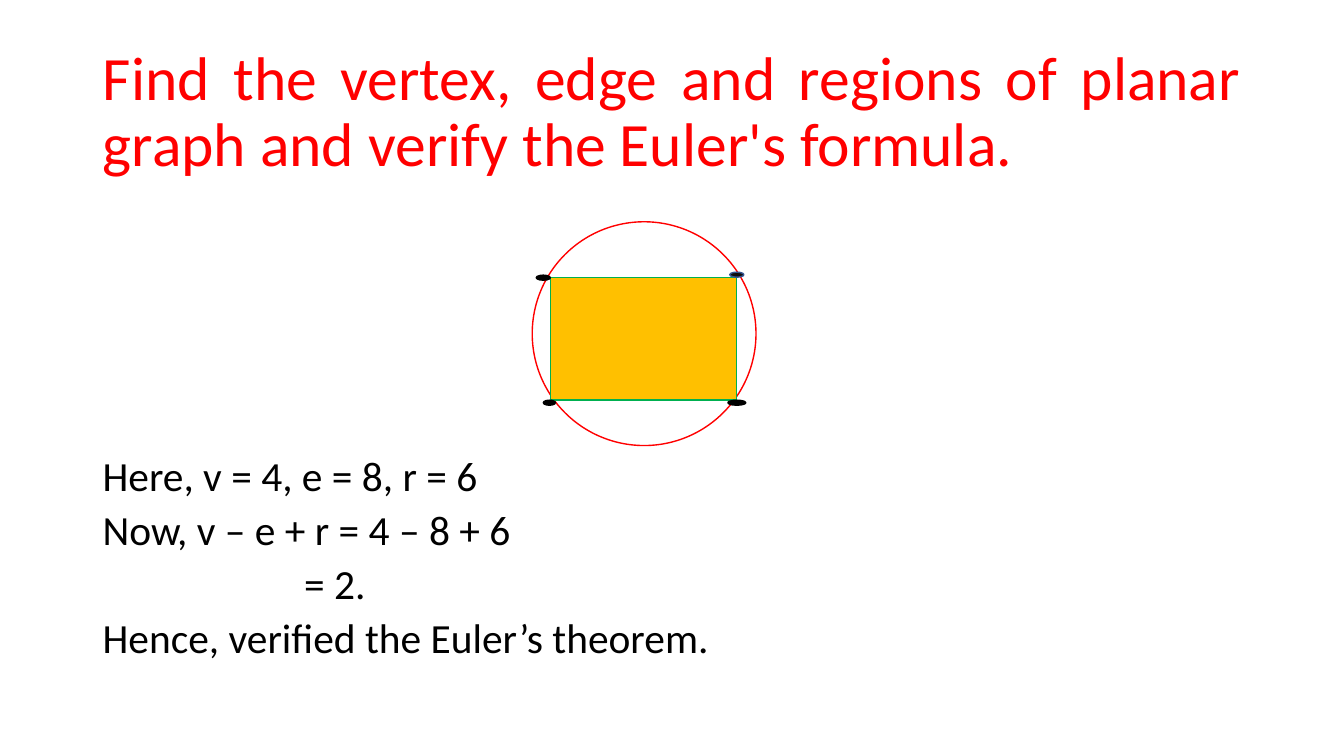
from pptx import Presentation
from pptx.dml.color import RGBColor
from pptx.enum.shapes import MSO_SHAPE
from pptx.enum.text import MSO_ANCHOR, MSO_AUTO_SIZE, PP_ALIGN
from pptx.util import Pt

OVAL, RECTANGLE = MSO_SHAPE.OVAL, MSO_SHAPE.RECTANGLE
MIDDLE, TOP = MSO_ANCHOR.MIDDLE, MSO_ANCHOR.TOP
JUSTIFY = PP_ALIGN.JUSTIFY
NO_AUTOFIT = MSO_AUTO_SIZE.NONE
TITLE_ONLY = 5
LEFT, WIDTH = 66.24, 828

TITLE = "Find the vertex, edge and regions of planar graph and verify the Euler's formula."
# Each line of the solution with its left indent in points
SOLUTION = [
    ("Here, v = 4, e = 8, r = 6", 0),
    ("Now, v – e + r = 4 – 8 + 6", 0),
    ("= 2.", 144),
    ("Hence, verified the Euler’s theorem.", 0),
]
# Left, top, width, fill and line of the graph's vertices
VERTICES = [
    (521.28, 194.4, 10.08, "0D0D0D", "325491"),
    (383.04, 196.56, 10.08, "000000", "000000"),
    (388.08, 285.84, 8.64, "000000", "000000"),
    (519.84, 285.84, 12.96, "000000", "000000"),
]


def color(value):
    return RGBColor.from_string(value)


def prepare_frame(frame, anchor):
    frame.word_wrap = True
    frame.auto_size = NO_AUTOFIT
    frame.vertical_anchor = anchor


def write(paragraph, text, *, size, fill, spacing, after=0, indent=0):
    paragraph.alignment = JUSTIFY
    paragraph.line_spacing = spacing
    paragraph.space_before = Pt(0)
    paragraph.space_after = Pt(after)
    if indent:
        paragraph._p.get_or_add_pPr().set("marL", str(Pt(indent)))
    run = paragraph.add_run()
    run.text = text
    run.font.name = "Calibri"
    run.font.size = Pt(size)
    run.font.color.rgb = color(fill)


def add_title(slide):
    title = slide.shapes.title
    title.left, title.top = Pt(LEFT), Pt(28.8)
    title.width, title.height = Pt(WIDTH), Pt(104.4)
    prepare_frame(title.text_frame, MIDDLE)
    write(title.text_frame.paragraphs[0], TITLE, size=44, fill="FF0000", spacing=0.9)


def add_solution(slide):
    box = slide.shapes.add_textbox(Pt(LEFT), Pt(325), Pt(WIDTH), Pt(161.5))
    frame = box.text_frame
    prepare_frame(frame, TOP)
    for index, (text, indent) in enumerate(SOLUTION):
        paragraph = frame.add_paragraph() if index else frame.paragraphs[0]
        write(paragraph, text, size=29.6, fill="000000", spacing=0.8,
              after=10, indent=indent)


def add_outline_shape(group, kind, left, top, width, height, fill, line):
    shape = group.shapes.add_shape(kind, Pt(left), Pt(top), Pt(width), Pt(height))
    shape.shadow.inherit = False
    shape.fill.solid()
    shape.fill.fore_color.rgb = color(fill)
    shape.line.color.rgb = color(line)
    shape.line.width = Pt(1)


def add_graph(slide):
    group = slide.shapes.add_group_shape()
    add_outline_shape(group, OVAL, 380.16, 158.4, 159.84, 159.84, "FFFFFF", "FF0000")
    add_outline_shape(group, RECTANGLE, 393.12, 198, 133.2, 87.84, "FFC000", "00B050")
    for left, top, width, fill, line in VERTICES:
        add_outline_shape(group, OVAL, left, top, width, 3.6, fill, line)


def main():
    presentation = Presentation()
    presentation.slide_width, presentation.slide_height = Pt(960), Pt(540)
    slide = presentation.slides.add_slide(presentation.slide_layouts[TITLE_ONLY])
    add_title(slide)
    add_solution(slide)
    add_graph(slide)
    presentation.save("out.pptx")


if __name__ == "__main__":
    main()
